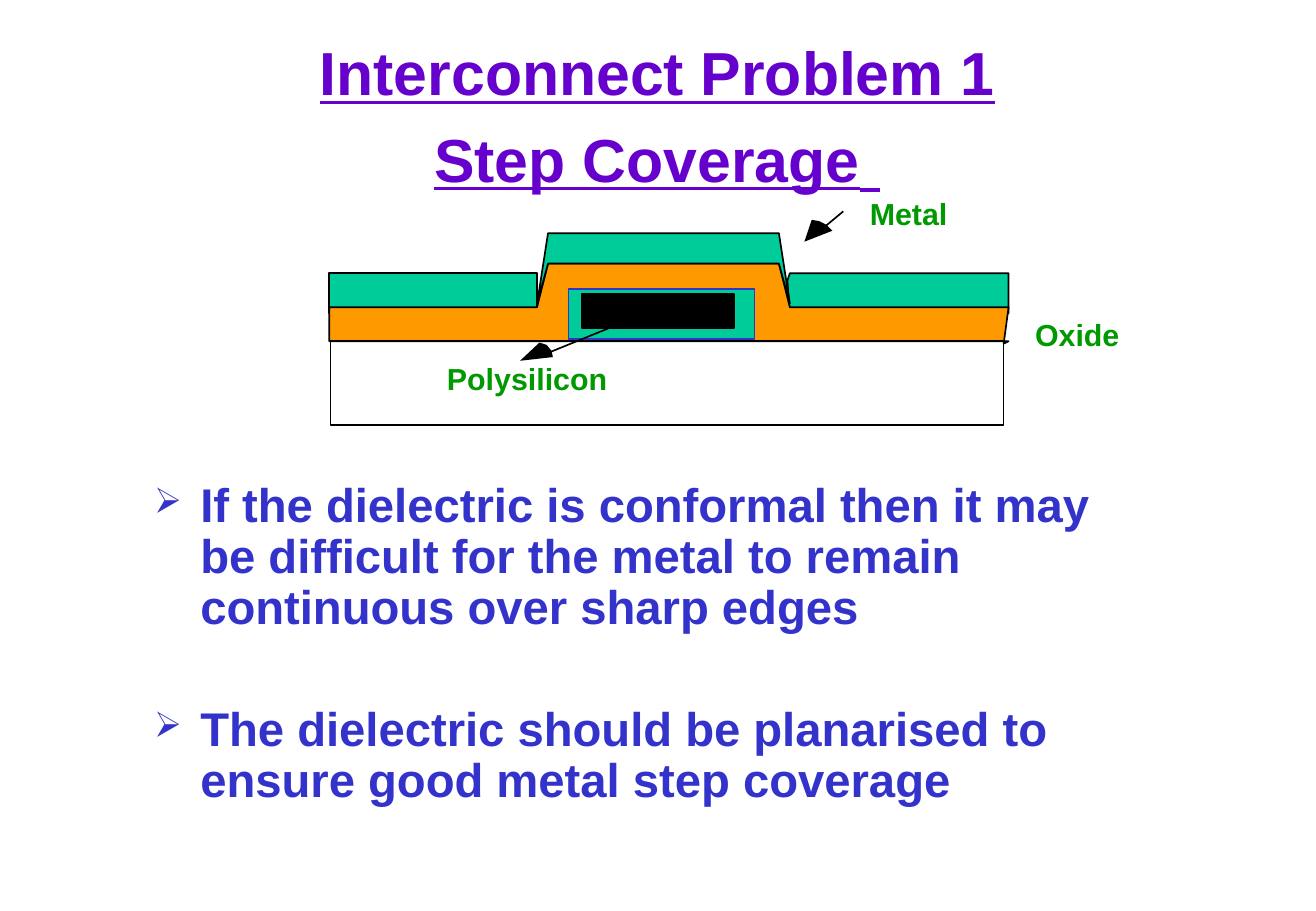
from lxml import etree
from pptx import Presentation
from pptx import util as u
from pptx.dml.color import RGBColor
from pptx.enum import shapes, text
from pptx.oxml.ns import qn

CELL = u.Inches(0.01)  # grid on which every column and row is counted
COLORS = {
    "title": "6600CC", "body": "3333CC", "label": "009900",
    "metal": "00CC99", "oxide": "FF9900", "ink": "000000",
}

deck = Presentation()
deck.slide_width, deck.slide_height = 1083 * CELL, 750 * CELL
page = deck.slides.add_slide(deck.slide_layouts[6])


def paint(shape, fill, line):
    shape.shadow.inherit = False
    for part, color in ((shape.fill, fill), (shape.line.fill, line)):
        if color:
            part.solid()
            part.fore_color.rgb = RGBColor.from_string(COLORS[color])
        else:
            part.background()
    if line:
        shape.line.width = u.Pt(1)


def add_span(para, words, size, color, bold=True, underline=None):
    span = para.add_run()
    span.text = words
    span.font.name = "Arial"
    span.font.size = u.Pt(size)
    span.font.bold = bold
    span.font.underline = underline
    span.font.color.rgb = RGBColor.from_string(COLORS[color])


# Layers of the cross-section, with corners as (column, row)
base, shoulder, dip, plateau, crest = 281, 253, 258, 217, 192
left, right = 271, 830
step_left, step_right = 442, 650
top_left, top_right = 451, 641
metal_right = [(right, dip), (right, 225), (step_right, 225), (648, 231), (step_right, dip)]
metal_left = [(left, 225), (step_left, 225), (step_left, dip), (left, dip)]
oxide = [
    (left, shoulder), (left, base), (right, base), (826, 283), (right, shoulder),
    (step_right, shoulder), (top_right, plateau), (top_left, plateau), (step_left, shoulder),
]
metal_top = [
    (step_left, 250), (top_left, crest), (top_right, crest),
    (step_right, 250), (top_right, plateau), (top_left, plateau),
]
poly_head = [(444, 282), (450, 284), (454, 289), (455, 294), (428, 297)]
metal_head = [(668, 181), (674, 182), (680, 185), (685, 190), (662, 199)]

outlines = [
    (metal_right, "metal", "ink"), (metal_left, "metal", "ink"), (oxide, "oxide", "ink"),
    (metal_top, "metal", "ink"), (poly_head, "ink", None), (metal_head, "ink", None),
]
blocks = [
    ((272, base, 554, 69), None, "ink"),
    ((468, 238, 153, 41), "metal", "body"),
    ((479, 242, 125, 28), "ink", "ink"),
]
for corners, fill, line in outlines[:4]:
    builder = page.shapes.build_freeform(*corners[0], scale=CELL)
    builder.add_line_segments(corners[1:], close=True)
    paint(builder.convert_to_shape(), fill, line)
for bounds, fill, line in blocks:
    block = page.shapes.add_shape(shapes.MSO_SHAPE.RECTANGLE, *(n * CELL for n in bounds))
    paint(block, fill, line)
for corners, fill, line in outlines[4:]:
    builder = page.shapes.build_freeform(*corners[0], scale=CELL)
    builder.add_line_segments(corners[1:], close=True)
    paint(builder.convert_to_shape(), fill, line)

for ends in ((509, 267, 440, 295), (694, 174, 670, 194)):
    pointer = page.shapes.add_connector(
        shapes.MSO_CONNECTOR.STRAIGHT, *(n * CELL for n in ends))
    pointer.line.width = u.Pt(1)
    pointer.line.color.rgb = RGBColor.from_string(COLORS["ink"])
    etree.SubElement(pointer.element.spPr, qn("a:effectLst"))

for words, column, row, width in (
    ("Oxide", 842, 255, 90), ("Polysilicon", 358, 292, 152), ("Metal", 706, 156, 84),
):
    box = page.shapes.add_textbox(column * CELL, row * CELL, width * CELL, 40 * CELL)
    box.text_frame.word_wrap = False
    add_span(box.text_frame.paragraphs[0], words, 18, "label")

# Title
box = page.shapes.add_textbox(81 * CELL, 33 * CELL, 920 * CELL, 125 * CELL)
box.text_frame.word_wrap = True
box.text_frame.vertical_anchor = text.MSO_ANCHOR.MIDDLE
para = box.text_frame.paragraphs[0]
para.alignment = text.PP_ALIGN.CENTER
add_span(para, "Interconnect Problem 1", 36, "title", underline=True)
para.add_line_break()
add_span(para, "Step Coverage", 36, "title", underline=True)
add_span(para, " ", 44, "title", bold=False, underline=True)

# Bullets
points = [
    "If the dielectric is conformal then it may be difficult for the metal "
    "to remain continuous over sharp edges",
    "The dielectric should be planarised to ensure good metal step coverage",
]
box = page.shapes.add_textbox(117 * CELL, 392 * CELL, 839 * CELL, 300 * CELL)
frame = box.text_frame
frame.word_wrap = True
for index, words in enumerate(points):
    para = frame.add_paragraph() if index else frame.paragraphs[0]
    props = para._p.get_or_add_pPr()
    props.set("marL", str(38 * CELL))
    props.set("indent", str(-38 * CELL))
    tint = etree.SubElement(props, qn("a:buClr"))
    etree.SubElement(tint, qn("a:srgbClr"), val=COLORS["body"])
    etree.SubElement(props, qn("a:buSzPct"), val="75000")
    etree.SubElement(props, qn("a:buChar"), char="➢")
    para.line_spacing = 0.9
    para.space_before = u.Pt(7 if index else 0)
    para.space_after = u.Pt(35)
    add_span(para, words, 28, "body")

deck.save("out.pptx")
